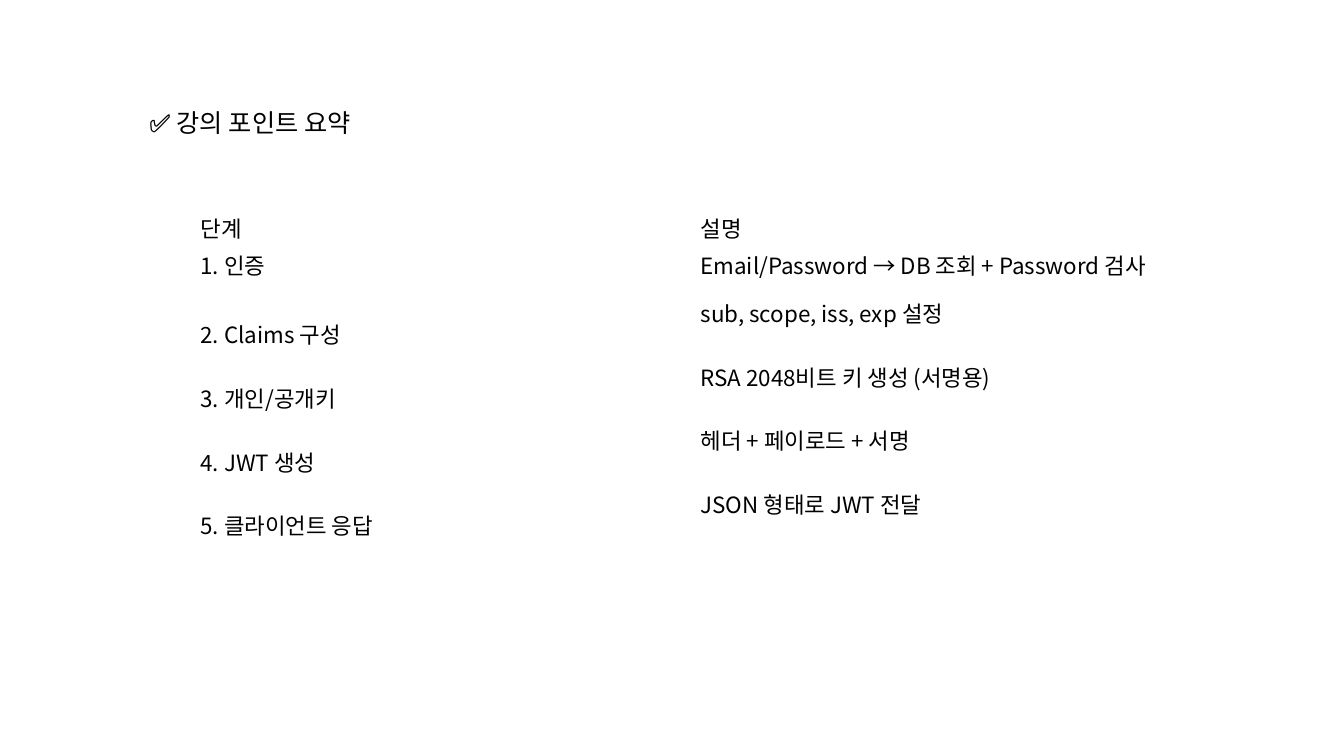
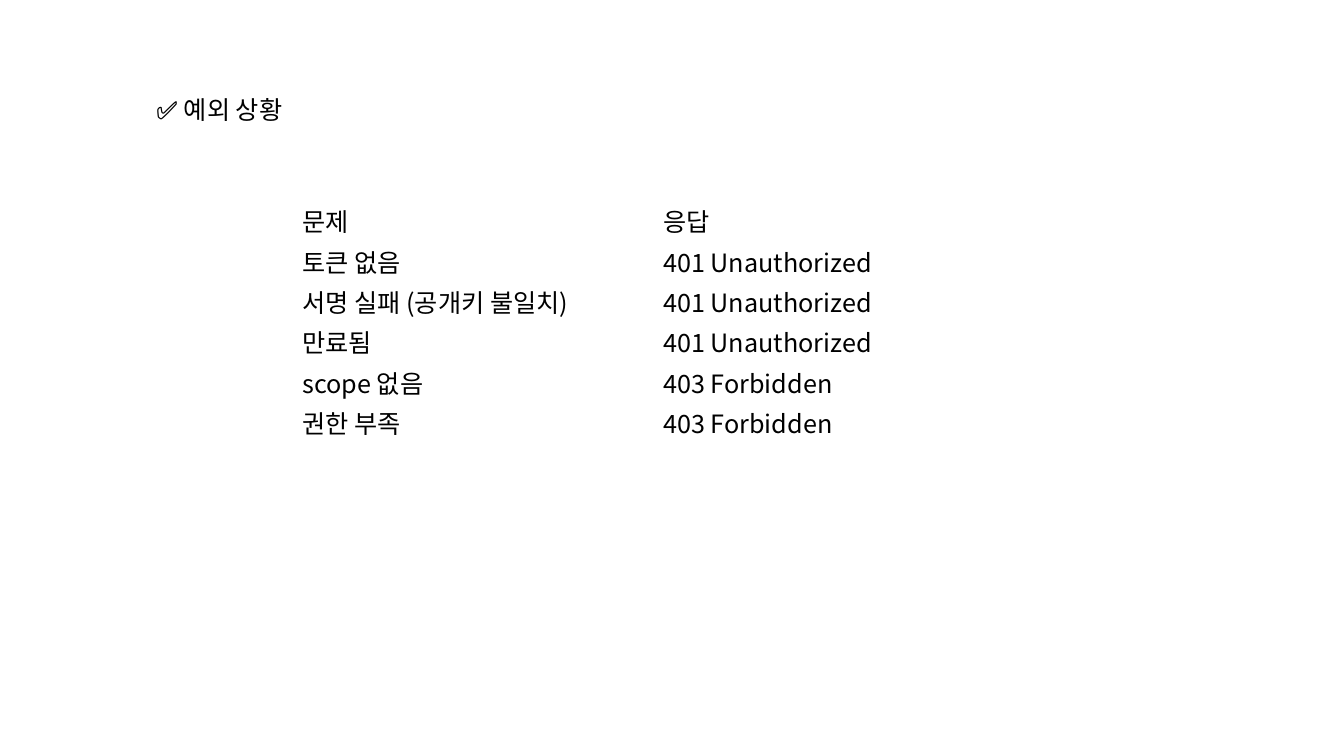
from pptx import Presentation
from pptx.dml.color import RGBColor
from pptx.enum.text import MSO_ANCHOR as Anchor, PP_ALIGN as Align
from pptx.oxml.ns import qn
from pptx.util import Inches, Pt
from lxml.etree import SubElement

GRID = Inches(0.1)  # side of one grid cell
COLUMNS, ROWS = 133.33, 75


def color(hex_value):
    return RGBColor.from_string(hex_value)


def grid(*cells):
    return [round(cell * GRID) for cell in cells]


def assign(target, values):
    for name, value in values.items():
        setattr(target, name, value)


class Deck:
    """Shared style and the slide being built."""
    FONT = "Noto Sans CJK KR"
    INK = "000000"
    PAPER = "FFFFFF"
    TITLE_SIZE = 18
    TITLE_BOX = (66.7, 4)
    SIDE_MARGIN = 1

    def __init__(self):
        self.presentation = Presentation()
        width, height = grid(COLUMNS, ROWS)
        assign(self.presentation, {"slide_width": width, "slide_height": height})
        self.slide = None

    def add_text(self, paragraph, text, size):
        paragraph.alignment = Align.LEFT
        run = paragraph.add_run()
        run.text = text
        assign(run.font, {"name": self.FONT, "size": Pt(size), "bold": False})
        run.font.color.rgb = color(self.INK)
        # Korean glyphs take their font from the East Asian slot
        SubElement(run._r.get_or_add_rPr(), qn("a:ea"), typeface=self.FONT)

    def add_slide(self, title, left, top):
        self.slide = self.presentation.slides.add_slide(
            self.presentation.slide_layouts[5])
        fill = self.slide.background.fill
        fill.solid()
        fill.fore_color.rgb = color(self.PAPER)

        shape = self.slide.shapes.title
        box = grid(left, top, *self.TITLE_BOX)
        assign(shape, dict(zip(("left", "top", "width", "height"), box)))
        side, = grid(self.SIDE_MARGIN)
        assign(shape.text_frame, {
            "margin_left": side, "margin_right": side,
            "margin_top": 0, "margin_bottom": 0,
            "vertical_anchor": Anchor.MIDDLE, "word_wrap": True})
        self.add_text(shape.text_frame.paragraphs[0], title, self.TITLE_SIZE)

    def add_table(self, rows, left, top, column_width, heights, margins, size):
        """margins holds, for each row, the space above the text per column."""
        columns = len(rows[0])
        frame = self.slide.shapes.add_table(
            len(rows), columns,
            *grid(left, top, column_width * columns, sum(heights)))
        table = frame.table
        assign(table, {"first_row": False, "horz_banding": False})
        for column in table.columns:
            column.width, = grid(column_width)
        side, = grid(self.SIDE_MARGIN)
        for row, texts, height, spaces in zip(table.rows, rows, heights, margins):
            row.height, = grid(height)
            for cell, text, space in zip(row.cells, texts, spaces):
                cell.fill.background()
                assign(cell, {
                    "margin_left": side, "margin_right": side,
                    "margin_top": grid(space)[0], "margin_bottom": 0,
                    "vertical_anchor": Anchor.TOP})
                self.add_text(cell.text_frame.paragraphs[0], text, size)


def main():
    deck = Deck()

    # Lecture summary: the steps sit lower than their descriptions
    deck.add_slide("✅ 강의 포인트 요약", 13.8, 10.1)
    steps = [
        ("단계", "설명"),
        ("1. 인증", "Email/Password → DB 조회 + Password 검사"),
        ("2. Claims 구성", "sub, scope, iss, exp 설정"),
        ("3. 개인/공개키", "RSA 2048비트 키 생성 (서명용)"),
        ("4. JWT 생성", "헤더 + 페이로드 + 서명"),
        ("5. 클라이언트 응답", "JSON 형태로 JWT 전달"),
    ]
    deck.add_table(steps, 18.9, 20.6, 49.6,
                   heights=[3.7, 4.3] + [6.34] * 4,
                   margins=[(0.4, 0.4)] * 2 + [(2.9, 0.8)] * 4, size=16)

    # Exceptions and their responses
    deck.add_slide("✅ 예외 상황", 14.5, 8.9)
    unauthorized, forbidden = "401 Unauthorized", "403 Forbidden"
    problems = [
        ("문제", "응답"),
        ("토큰 없음", unauthorized),
        ("서명 실패 (공개키 불일치)", unauthorized),
        ("만료됨", unauthorized),
        ("scope 없음", forbidden),
        ("권한 부족", forbidden),
    ]
    count = len(problems)
    deck.add_table(problems, 29, 19.8, 35.8, heights=[4] * count,
                   margins=[(0.3, 0.3)] * count, size=18)

    deck.presentation.save("out.pptx")


if __name__ == "__main__":
    main()
